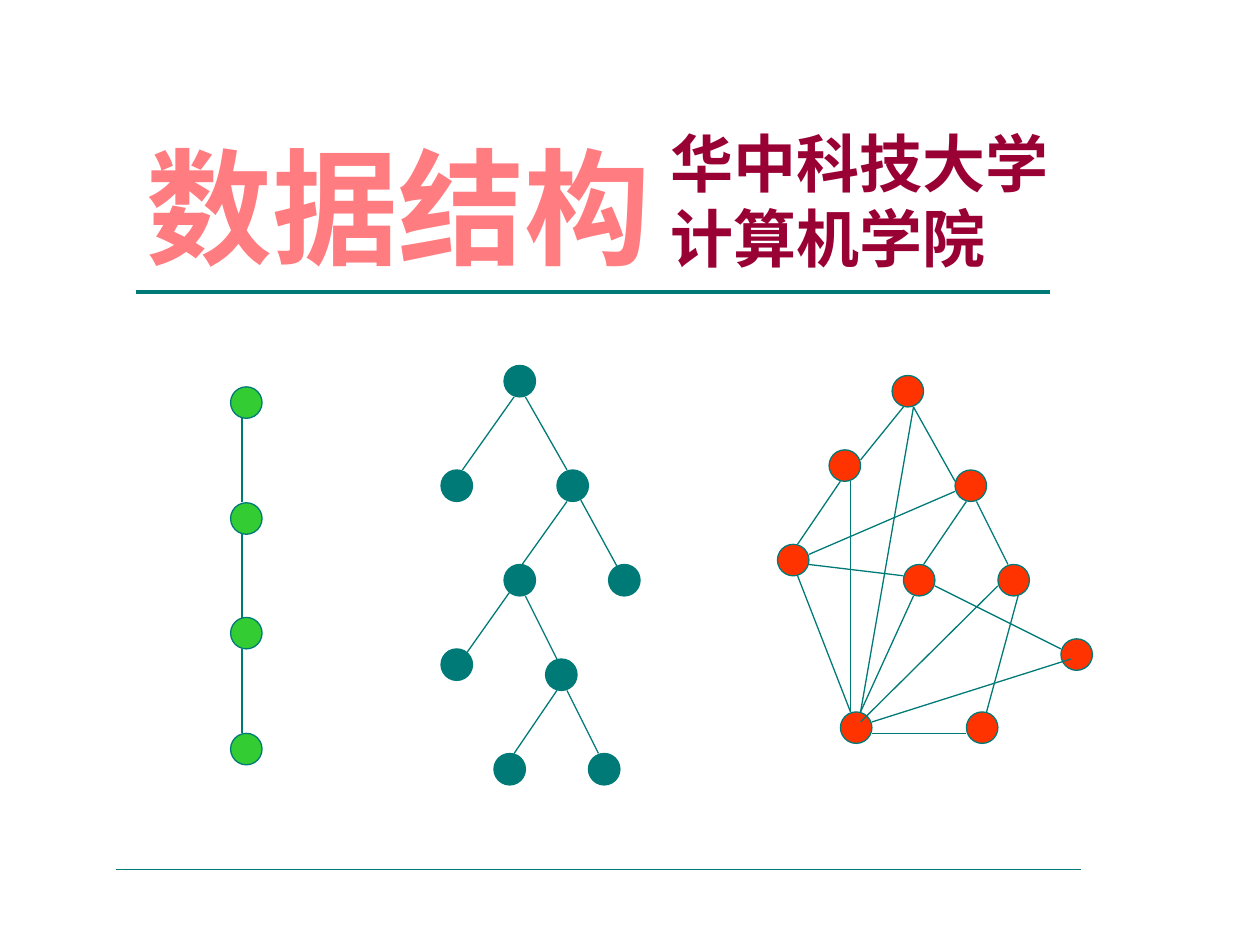
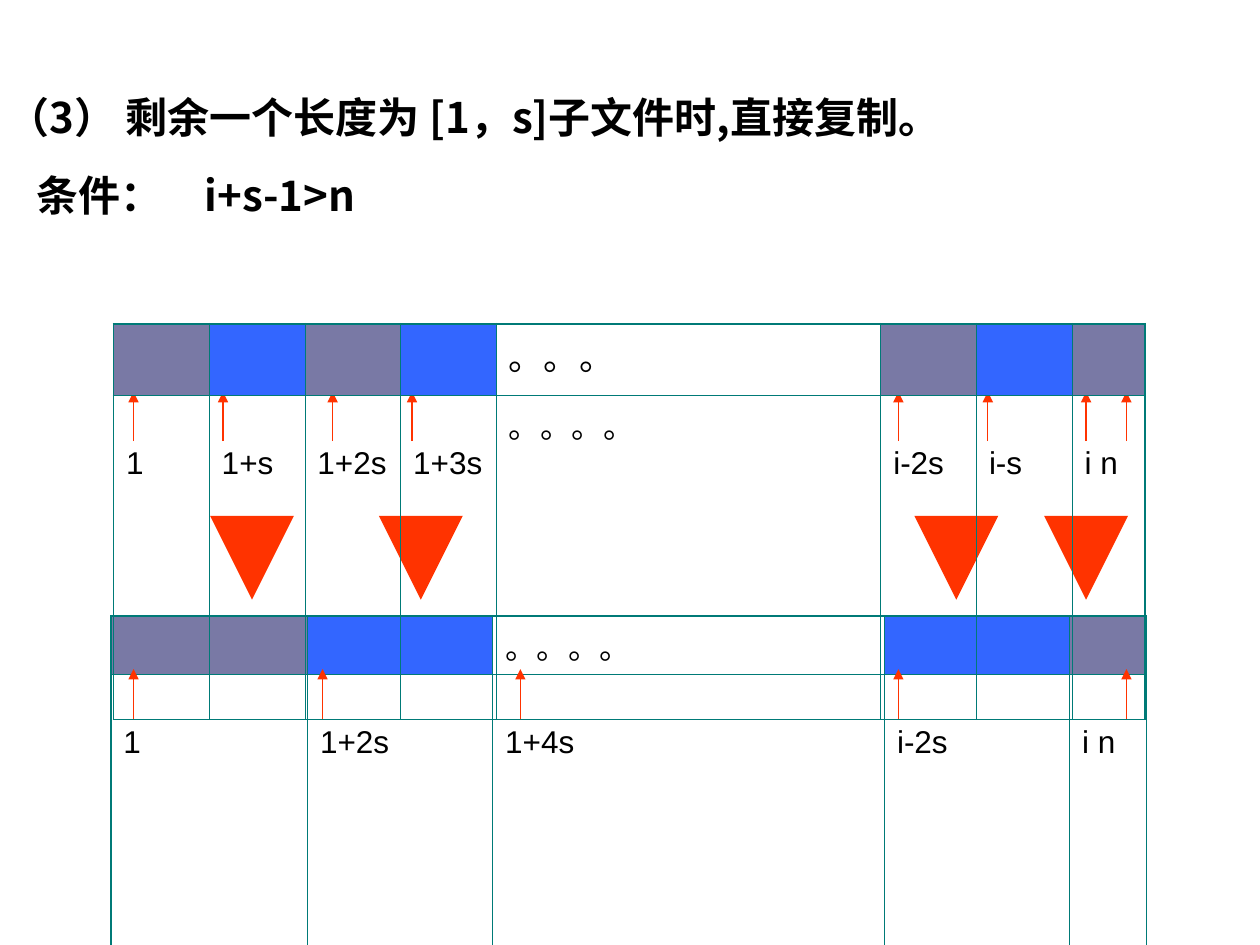
import pptx
import pptx.dml.color
import pptx.enum.shapes
import pptx.enum.text
import pptx.oxml
import pptx.oxml.ns
import pptx.util

TEAL, GREEN, RED = "007A77", "33CC33", "FF3300"
PINK, MAROON, BLACK = "FF7C80", "990033", "000000"
GREY, BLUE = "7979A5", "3366FF"
NODE_SIZE = 0.25
TITLE_ONLY = 5

TREE_NODES = [(0.5, 0), (0, 0.83), (0.92, 0.83), (0.5, 1.58), (1.33, 1.58),
              (0, 2.25), (0.83, 2.33), (0.42, 3.08), (1.17, 3.08)]
TREE_EDGES = [(0.58, 0.25, 0.17, 0.83), (0.67, 0.25, 1, 0.83),
              (1.11, 1.07, 1.4, 1.6), (1, 1.08, 0.58, 1.67),
              (0.58, 1.75, 0.17, 2.33), (0.67, 1.83, 0.92, 2.33),
              (0.92, 2.58, 0.58, 3.08), (1, 2.58, 1.25, 3.08)]
GRAPH_NODES = [(0.91, 0), (0.41, 0.59), (1.41, 0.75), (0, 1.34), (1, 1.5),
               (1.75, 1.5), (2.25, 2.09), (0.5, 2.67), (1.5, 2.67)]
GRAPH_EDGES = [(1.08, 0.25, 1.41, 0.84), (0.5, 0.84, 0.16, 1.34),
               (1.58, 1, 1.83, 1.5), (0.16, 1.59, 0.58, 2.67),
               (0.75, 2.84, 1.5, 2.84), (1.91, 1.75, 1.66, 2.67),
               (0.58, 0.84, 0.58, 2.67), (0.25, 1.42, 1.41, 0.92),
               (0.75, 2.75, 2.33, 2.25), (1.25, 1.67, 2.25, 2.17),
               (1.5, 1, 1.16, 1.5), (0.25, 1.5, 1, 1.59),
               (1, 0.25, 0.66, 0.67), (1.75, 1.67, 0.66, 2.75),
               (1.08, 0.25, 0.66, 2.67), (1.08, 1.75, 0.66, 2.67)]
CHAIN_PITCH = 0.917
CHAIN_NODES = [(0, round(i * CHAIN_PITCH, 2)) for i in range(4)]
CHAIN_EDGES = [(0.09, top + NODE_SIZE, 0.09, top + CHAIN_PITCH)
               for _, top in CHAIN_NODES[:-1]]


def inches(*lengths):
    """Convert lengths to inches."""
    return [pptx.util.Inches(length) for length in lengths]


def paint(target, colour):
    """Give a fill, line or font a solid colour."""
    if hasattr(target, "solid"):
        target.solid()
        target.fore_color.rgb = pptx.dml.color.RGBColor.from_string(colour)
    elif hasattr(target, "fill"):
        paint(target.fill, colour)


def add_child(parent, tag, **attributes):
    """Append a DrawingML element to a parent."""
    child = pptx.oxml.parse_xml(f"<a:{tag} {pptx.oxml.ns.nsdecls('a')}/>")
    for name, value in attributes.items():
        child.set(name, str(value))
    parent.append(child)
    return child


def write(frame, lines, size, colour, font, bold=False, spacing=None, gap=0):
    """Write lines as paragraphs of a text frame, top aligned at the left."""
    for i, text in enumerate(lines):
        para = frame.paragraphs[0] if i == 0 else frame.add_paragraph()
        para.alignment = pptx.enum.text.PP_ALIGN.LEFT
        para.space_before = pptx.util.Pt(gap if i else 0)
        if spacing:
            para.line_spacing = pptx.util.Pt(spacing)
        span = para.add_run()
        span.text = text
        span.font.size = pptx.util.Pt(size)
        span.font.bold = bold
        span.font.name = font
        paint(span.font, colour)
        if font != "Arial":
            add_child(span.font._element, "ea", typeface=font)


def place(shape, left, top, width, height):
    """Position a text shape and make it wrap from its top edge."""
    shape.left, shape.top, shape.width, shape.height = inches(left, top, width, height)
    frame = shape.text_frame
    frame.word_wrap = True
    frame.auto_size = pptx.enum.text.MSO_AUTO_SIZE.NONE
    frame.vertical_anchor = pptx.enum.text.MSO_ANCHOR.TOP
    return frame


def draw_line(page, x1, y1, x2, y2, colour=TEAL, weight=0.75, arrow=False):
    """Draw a straight line, with an arrowhead at its end if asked."""
    line = page.shapes.add_connector(
        pptx.enum.shapes.MSO_CONNECTOR.STRAIGHT, *inches(x1, y1, x2, y2))
    paint(line.line, colour)
    line.line.width = pptx.util.Pt(weight)
    if arrow:
        add_child(line.line._get_or_add_ln(), "tailEnd", type="triangle")
    add_child(line._element.spPr, "effectLst")


def draw_network(page, left, top, nodes, edges, colour):
    """Draw round nodes and the edges between them from a top left corner."""
    for x, y in nodes:
        node = page.shapes.add_shape(
            pptx.enum.shapes.MSO_SHAPE.OVAL,
            *inches(left + x, top + y, NODE_SIZE, NODE_SIZE))
        node.shadow.inherit = False
        paint(node.fill, colour)
        paint(node.line, TEAL)
        node.line.width = pptx.util.Pt(0.75)
    for x1, y1, x2, y2 in edges:
        draw_line(page, left + x1, top + y1, left + x2, top + y2)


def draw_arrows(page, centres, bottom, top, weight=0.75):
    """Draw a row of red vertical arrows from bottom to top."""
    for x in centres:
        draw_line(page, x, bottom, x, top, RED, weight, arrow=True)


def set_borders(cell, heavy):
    """Draw four teal borders on a cell, thicker on the heavy sides."""
    properties = cell._tc.get_or_add_tcPr()
    for i, side in enumerate("LRTB"):
        width = pptx.util.Pt(1.08 if side in heavy else 0.45)
        border = add_child(properties, f"ln{side}", w=width)
        add_child(add_child(border, "solidFill"), "srgbClr", val=TEAL)
        properties.insert(i, border)


def add_run_table(page, left, top, widths, heights, fills, dots, labels):
    """Add a table of sorted runs with a coloured row over a label row."""
    frame = page.shapes.add_table(
        2, len(widths), *inches(left, top, sum(widths), sum(heights)))
    table = frame.table
    table.first_row = table.horz_banding = False
    for column, width in zip(table.columns, widths):
        column.width = pptx.util.Inches(width)
    for row, height in zip(table.rows, heights):
        row.height = pptx.util.Inches(height)
    last = len(widths) - 1
    for i, (fill, label) in enumerate(zip(fills, labels)):
        sides = "L" * (i == 0) + "R" * (i == last)
        head, foot = table.cell(0, i), table.cell(1, i)
        if fill:
            paint(head.fill, fill)
        else:
            head.fill.background()
            write(head.text_frame, [dots[0]], dots[1], BLACK, "Arial")
        foot.fill.background()
        foot.margin_top = pptx.util.Inches(0.05 if "。" in label else 0.4)
        write(foot.text_frame, [label], 18, BLACK, "Arial")
        set_borders(head, sides + "T")
        set_borders(foot, sides + "B")


def build_cover(deck):
    """Build the cover with a list, a tree and a graph."""
    page = deck.slides.add_slide(deck.slide_layouts[TITLE_ONLY])
    title = place(page.shapes.title, 1.06, 0.9, 4.4, 1.3)
    write(title, ["数据结构"], 72, PINK, "Noto Sans CJK JP", bold=True, spacing=92)
    school = place(page.shapes.add_textbox(0, 0, 0, 0), 5.22, 0.94, 3.4, 1.3)
    write(school, ["华中科技大学", "计算机学院"], 36, MAROON, "Noto Sans CJK SC",
          bold=True, spacing=43)
    draw_line(page, 1.08, 2.32, 8.33, 2.32, weight=2.25)
    draw_network(page, 1.83, 3.07, CHAIN_NODES, CHAIN_EDGES, GREEN)
    draw_network(page, 3.5, 2.9, TREE_NODES, TREE_EDGES, TEAL)
    draw_network(page, 6.17, 2.98, GRAPH_NODES, GRAPH_EDGES, RED)
    draw_line(page, 0.92, 6.9, 8.58, 6.9)


def build_merge(deck):
    """Build the merge step with the runs before and after it."""
    page = deck.slides.add_slide(deck.slide_layouts[TITLE_ONLY])
    title = place(page.shapes.title, -0.04, 0.63, 7.6, 1.6)
    write(title, ["（3） 剩余一个长度为 [1，s]子文件时,直接复制。", "条件：　i+s-1>n"],
          24, BLACK, "Noto Sans CJK SC", bold=True, spacing=32, gap=12.6)
    for para, indent in zip(title.paragraphs, (-0.38, -0.15)):
        properties = para._p.get_or_add_pPr()
        properties.set("marL", str(pptx.util.Inches(0.38)))
        properties.set("indent", str(pptx.util.Inches(indent)))

    draw_arrows(page, [1.06, 1.77, 2.64, 3.27, 7.13, 7.84, 8.62, 8.94], 3.5, 3.11)
    add_run_table(page, 0.88, 4.89, [1.56, 1.47, 3.11, 1.47, 0.61], [0.46, 2.27],
                  [GREY, BLUE, None, BLUE, GREY], ("。。。。", 18),
                  ["1", "1+2s", "1+4s", "i-2s", "i n"])
    draw_arrows(page, [2, 3.34, 7.59, 8.62], 4.21, 4.76, weight=16)
    add_run_table(page, 0.9, 2.57, [0.76] * 4 + [3.05, 0.76, 0.76, 0.58], [0.57, 2.57],
                  [GREY, BLUE, GREY, BLUE, None, GREY, BLUE, GREY], ("。。。", 20),
                  ["1", "1+s", "1+2s", "1+3s", "。。。。", "i-2s", "i-s", "i n"])
    draw_arrows(page, [1.06, 2.56, 4.13, 7.13, 8.94], 5.71, 5.31)


def main():
    """Build and save the deck."""
    deck = pptx.Presentation()
    deck.slide_width, deck.slide_height = inches(10, 7.5)
    build_cover(deck)
    build_merge(deck)
    deck.save("out.pptx")


if __name__ == "__main__":
    main()
